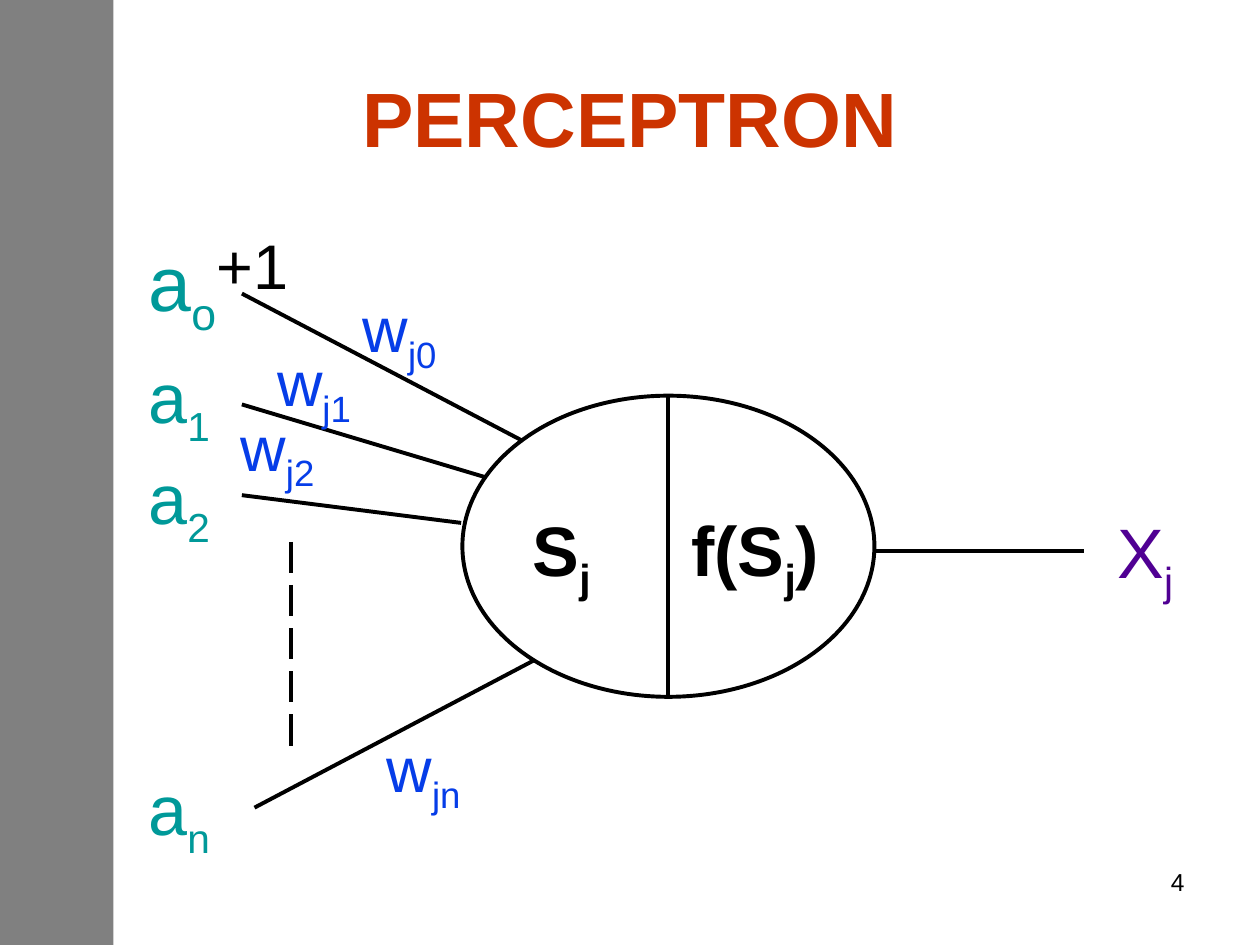
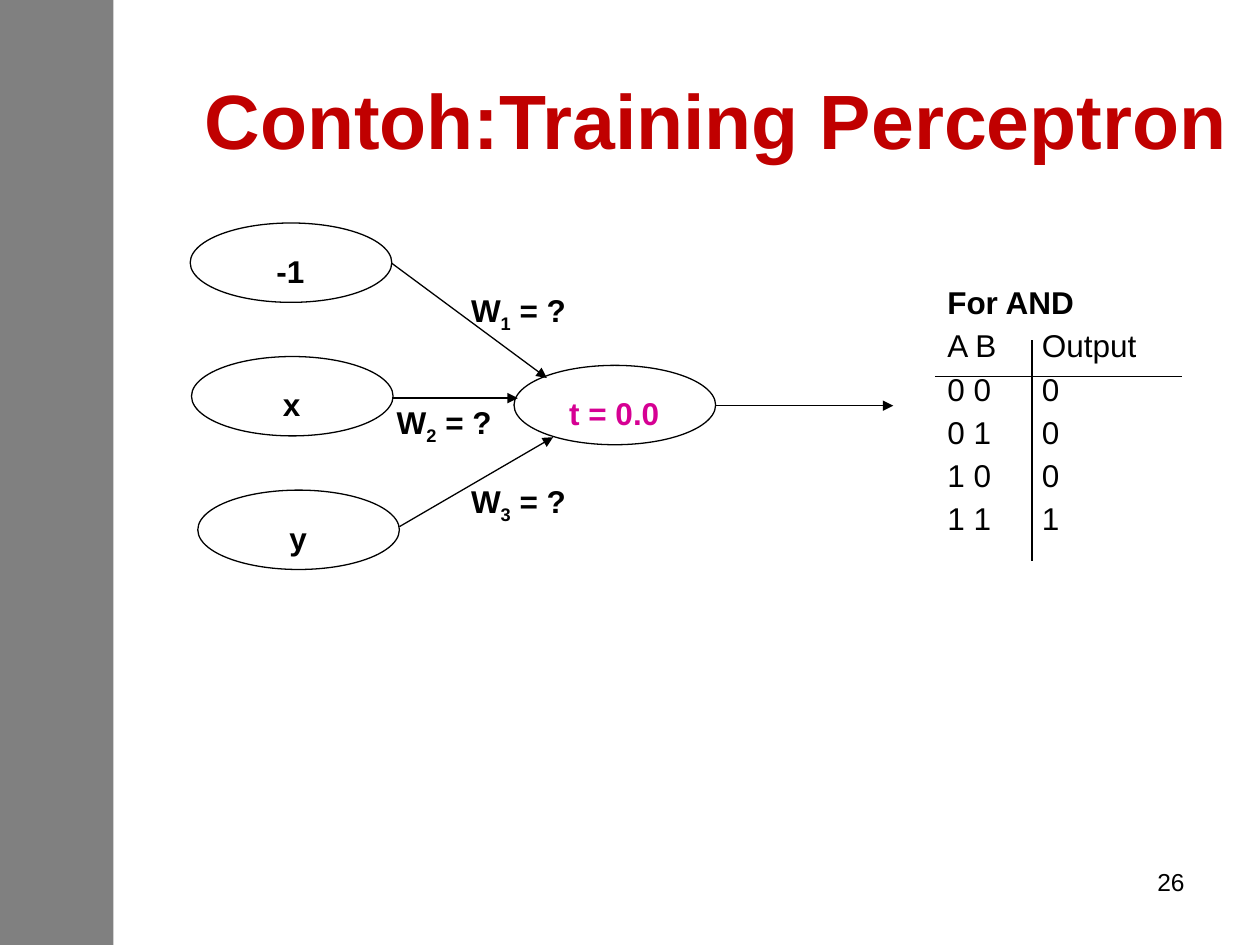
from lxml import etree
from pptx import Presentation
from pptx.dml.color import RGBColor
from pptx.enum.dml import MSO_LINE
from pptx.enum.shapes import MSO_CONNECTOR, MSO_SHAPE
from pptx.enum.text import MSO_ANCHOR, PP_ALIGN
from pptx.oxml.ns import qn
from pptx.util import Pt

PX = 9144
FONT = "Arial"
BLACK = RGBColor(0x00, 0x00, 0x00)
WHITE = RGBColor(0xFF, 0xFF, 0xFF)
GRAY = RGBColor(0x80, 0x80, 0x80)
RUST = RGBColor(0xCC, 0x33, 0x00)
RED = RGBColor(0xC0, 0x00, 0x00)
TEAL = RGBColor(0x00, 0x99, 0x99)
BLUE = RGBColor(0x06, 0x3D, 0xE8)
PURPLE = RGBColor(0x50, 0x00, 0x93)
PINK = RGBColor(0xD6, 0x00, 0x93)
LEFT, CENTER, RIGHT = PP_ALIGN.LEFT, PP_ALIGN.CENTER, PP_ALIGN.RIGHT
TOP, MIDDLE = MSO_ANCHOR.TOP, MSO_ANCHOR.MIDDLE
RECT, OVAL = MSO_SHAPE.RECTANGLE, MSO_SHAPE.OVAL
STRAIGHT = MSO_CONNECTOR.STRAIGHT
DASH = MSO_LINE.LONG_DASH
THICK, THIN = 2.25, 0.75


def scale(*sizes):
    """Turn px lengths into EMU."""
    return [size * PX for size in sizes]


def add_run(para, text, size, color=BLACK, bold=False, sub=False):
    """Add one styled run, lowered if it is a subscript."""
    run = para.add_run()
    run.text = text
    font = run.font
    font.name, font.size, font.bold = FONT, Pt(size), bold
    font.color.rgb = color
    if sub:
        run._r.get_or_add_rPr().set("baseline", "-25000")


def add_frame(slide, box, anchor=TOP):
    """Add a wrapping text box and return its text frame."""
    frame = slide.shapes.add_textbox(*scale(*box)).text_frame
    frame.word_wrap = True
    frame.vertical_anchor = anchor
    return frame


def add_text(slide, box, parts, size, color=BLACK, bold=False, align=LEFT, anchor=TOP):
    """Add a line of text in which every second part is a subscript."""
    para = add_frame(slide, box, anchor).paragraphs[0]
    para.alignment = align
    for index, part in enumerate(parts):
        add_run(para, part, size, color, bold, index % 2 == 1)


def add_shape(slide, kind, box, fill=None, width=None):
    """Add a flat shape with an optional fill and outline."""
    shape = slide.shapes.add_shape(kind, *scale(*box))
    shape.shadow.inherit = False
    if fill is None:
        shape.fill.background()
    else:
        shape.fill.solid()
        shape.fill.fore_color.rgb = fill
    if width is None:
        shape.line.fill.background()
    else:
        shape.line.color.rgb = BLACK
        shape.line.width = Pt(width)


def add_line(slide, x, y, ends, width, dash=None, arrow=False):
    """Add a black line whose ends are relative to x and y."""
    x1, y1, x2, y2 = ends
    line = slide.shapes.add_connector(STRAIGHT, *scale(x + x1, y + y1, x + x2, y + y2))
    line.line.color.rgb = BLACK
    line.line.width = Pt(width)
    if dash:
        line.line.dash_style = dash
    if arrow:
        tail = etree.SubElement(line.line._get_or_add_ln(), qn("a:tailEnd"))
        tail.set("type", "triangle")
    etree.SubElement(line._element.spPr, qn("a:effectLst"))


def add_base(deck, title, box, color, number):
    """Add a slide with the side band, title and page number."""
    slide = deck.slides.add_slide(deck.slide_layouts[6])
    add_shape(slide, RECT, (0, 0, 90, 750), GRAY)
    add_text(slide, box, [title], 44, color, True, CENTER, MIDDLE)
    add_text(slide, (717, 683, 233, 52), [str(number)], 14, align=RIGHT)
    return slide


def draw_cell(slide, x, y, w, h):
    """Draw the split oval with its sum, function and output."""
    half = w // 2
    add_shape(slide, OVAL, (x, y, w, h), width=THICK)
    add_line(slide, x, y, (half, 0, half, h), THICK)
    add_line(slide, x, y, (w, 123, w + 166, 123), THICK)
    add_text(slide, (x + 46, y + 83, 80, 67), ["S", "j"], 40, bold=True)
    add_text(slide, (x + 172, y + 83, 163, 67), ["f(S", "j", ")"], 40, bold=True)
    add_text(slide, (x + 510, y + 85, 73, 67), ["X", "j"], 40, PURPLE)


def draw_inputs(slide, x, y):
    """Draw the weighted inputs that lead to the cell."""
    inputs = [
        ("o", 44, 6, (84, 58, 307, 175), "j0", 170, 50),
        ("1", 40, 101, (84, 146, 278, 204), "j1", 102, 93),
        ("2", 40, 181, (84, 218, 258, 240), "j2", 73, 144),
        ("n", 40, 428, (94, 466, 316, 349), "jn", 189, 399),
    ]
    for name, size, top, ends, weight, left, rise in inputs:
        add_line(slide, x, y, ends, THICK)
        add_text(slide, (x, y + top, 86, 70), ["a", name], size, TEAL)
        add_text(slide, (x + left, y + rise, 98, 61), ["w", weight], 36, BLUE)
    add_line(slide, x, y, (123, 255, 123, 422), THICK, DASH)
    add_text(slide, (x + 54, y, 97, 61), ["+1"], 36)


def draw_net(slide, x, y):
    """Draw the nodes, arrows and unknown weights of the net."""
    nodes = [
        ("-1", 0, 0, BLACK),
        ("x", 1, 106, BLACK),
        ("y", 6, 212, BLACK),
        ("t = 0.0", 257, 113, PINK),
    ]
    for name, left, top, color in nodes:
        add_shape(slide, OVAL, (x + left, y + top, 160, 63), WHITE, THIN)
        box = (x + left + 10, y + top + 18, 139, 30)
        add_text(slide, box, [name], 18, color, True, CENTER)
    arrows = [
        (160, 32, 283, 123),
        (160, 139, 260, 139),
        (166, 241, 288, 170),
        (417, 145, 558, 145),
    ]
    for ends in arrows:
        add_line(slide, x, y, ends, THIN, arrow=True)
    weights = [(191, 49), (132, 138), (191, 201)]
    for index, (left, top) in enumerate(weights, 1):
        box = (x + left, y + top, 139, 30)
        add_text(slide, box, ["W", str(index), " = ?"], 18, bold=True, align=CENTER)


def draw_truth(slide, x, y, w, h):
    """Draw the truth list for AND with its two rules."""
    rows = ["For AND", "A B\tOutput"]
    rows += [f"{a} {b}\t{a & b}" for a in (0, 1) for b in (0, 1)]
    frame = add_frame(slide, (x, y, w, h))
    for index, row in enumerate(rows):
        para = frame.add_paragraph() if index else frame.paragraphs[0]
        para.line_spacing = 0.7
        para.space_before = Pt(9.6)
        tabs = etree.SubElement(para._p.get_or_add_pPr(), qn("a:tabLst"))
        etree.SubElement(tabs, qn("a:tab"), pos=str(75 * PX), algn="l")
        add_run(para, row, 18, bold=index == 0)
    add_line(slide, x, y, (0, 71, 196, 71), THIN)
    add_line(slide, x, y, (77, 42, 77, 217), THIN)


def main():
    """Build both slides and save the deck."""
    deck = Presentation()
    deck.slide_width, deck.slide_height = scale(1000, 750)
    slide = add_base(deck, "PERCEPTRON", (50, 30, 900, 125), RUST, 4)
    draw_cell(slide, 367, 314, 327, 239)
    draw_inputs(slide, 108, 175)
    slide = add_base(deck, "Contoh:Training Perceptron", (107, 50, 923, 89), RED, 26)
    draw_net(slide, 151, 177)
    draw_truth(slide, 742, 228, 208, 212)
    deck.save("out.pptx")


if __name__ == "__main__":
    main()
